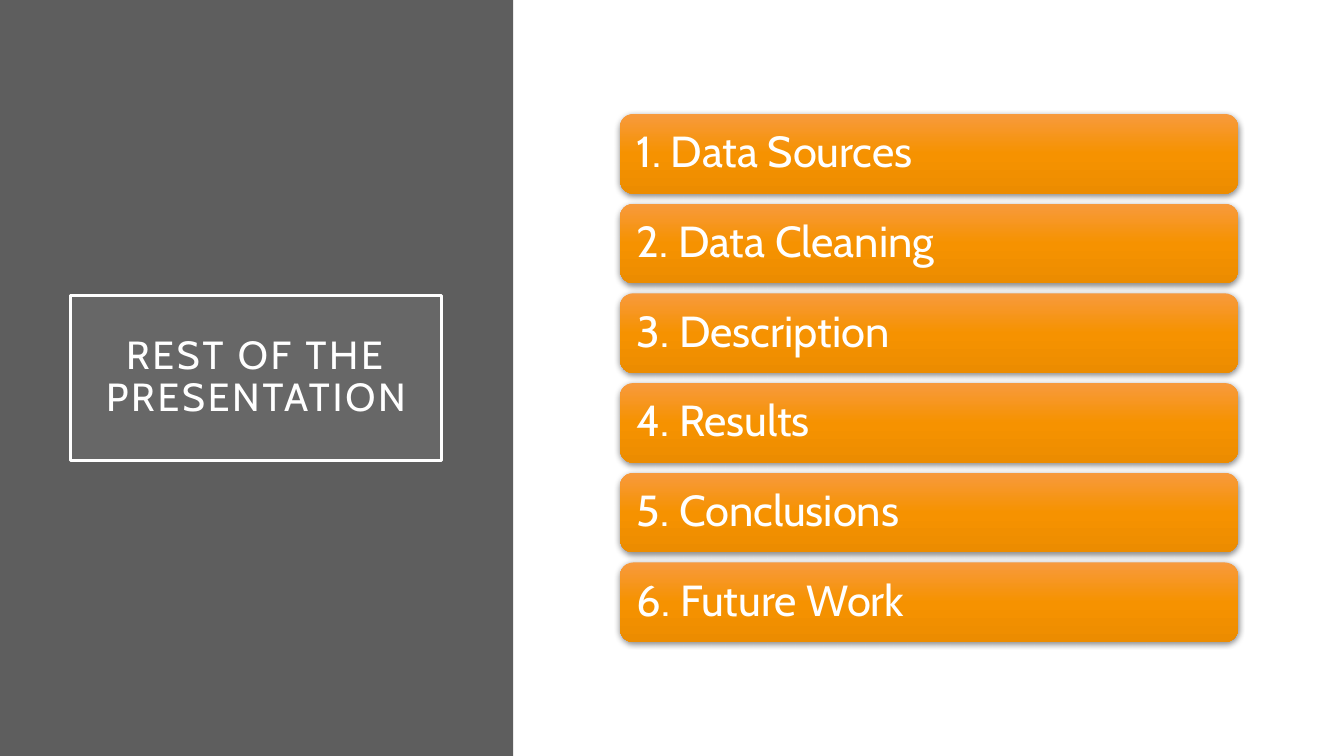
import copy
from dataclasses import dataclass

import pptx
import pptx.dml.color
import pptx.enum.shapes
import pptx.enum.text
import pptx.oxml.ns
import pptx.util
from lxml import etree
from pptx.util import Inches

qn = pptx.oxml.ns.qn
RGB = pptx.dml.color.RGBColor.from_string
SHAPES = pptx.enum.shapes.MSO_SHAPE
ALIGN = pptx.enum.text.PP_ALIGN


@dataclass(frozen=True)
class Theme:
    font: str = "Cabin"
    title_size: float = 28
    item_size: float = 31
    text: str = "FFFFFF"
    panel: str = "5E5E5E"
    title_fill: str = "9E9E9E"
    shadow: str = "000000"
    gradient: tuple = ((0, "F79A3D"), (0.5, "F69200"), (1, "EC8C00"))


@dataclass(frozen=True)
class Box:
    left: float
    top: float
    width: float
    height: float

    def lengths(self) -> tuple:
        return tuple(Inches(n) for n in (self.left, self.top, self.width, self.height))


@dataclass(frozen=True)
class AgendaItem:
    text: str
    box: Box


THEME = Theme()
PANEL = Box(0, 0, 5.09, 7.5)
TITLE = Box(0.7, 2.93, 3.68, 1.64)
FIRST_CARD = Box(6.15, 1.13, 6.13, 0.79)
CARD_PITCH = 0.89
TOPICS = ("Data Sources", "Data Cleaning", "Description",
          "Results", "Conclusions", "Future Work")
AGENDA = [
    AgendaItem(f"{index + 1}. {topic}",
               Box(FIRST_CARD.left, FIRST_CARD.top + index * CARD_PITCH,
                   FIRST_CARD.width, FIRST_CARD.height))
    for index, topic in enumerate(TOPICS)
]


def add_alpha(colour: etree._Element, percent: int) -> None:
    etree.SubElement(colour, qn("a:alpha"), val=str(percent * 1000))


def write_text(shape, text: str, size: float, align, inset: float) -> None:
    frame = shape.text_frame
    frame.text = text
    frame.word_wrap = True
    frame.auto_size = pptx.enum.text.MSO_AUTO_SIZE.NONE
    frame.vertical_anchor = pptx.enum.text.MSO_ANCHOR.MIDDLE
    frame.margin_left = frame.margin_right = Inches(inset)
    frame.margin_top = frame.margin_bottom = Inches(inset)
    para = frame.paragraphs[0]
    para.alignment = align
    para.line_spacing = 0.9
    font = para.runs[0].font
    font.name = THEME.font
    font.size = pptx.util.Pt(size)
    font.color.rgb = RGB(THEME.text)


def add_title(page) -> None:
    title = page.shapes.title
    title.left, title.top, title.width, title.height = TITLE.lengths()
    title.fill.solid()
    title.fill.fore_color.rgb = RGB(THEME.title_fill)
    add_alpha(title.element.spPr.find(".//" + qn("a:srgbClr")), 15)
    title.line.color.rgb = RGB(THEME.text)
    title.line.width = pptx.util.Pt(2.5)
    write_text(title, "REST OF THE PRESENTATION", THEME.title_size, ALIGN.CENTER, 0.2)
    span = title.text_frame.paragraphs[0].runs[0]
    span.font.element.set("spc", "200") if hasattr(span.font, "element") else \
        span._r.get_or_add_rPr().set("spc", "200")


def add_panel(page) -> None:
    """Add the side panel and place it behind the title."""
    panel = page.shapes.add_shape(SHAPES.RECTANGLE, *PANEL.lengths())
    panel.shadow.inherit = False
    panel.fill.solid()
    panel.fill.fore_color.rgb = RGB(THEME.panel)
    panel.line.fill.background()
    page.shapes.title.element.addprevious(panel.element)


def fill_gradient(shape) -> None:
    """Fill with the theme gradient, running from top to bottom."""
    shape.fill.gradient()
    shape.fill.gradient_angle = 270
    stops = shape.element.spPr.find(".//" + qn("a:gsLst"))
    stops.append(copy.deepcopy(stops[-1]))
    for stop, (position, colour) in zip(shape.fill.gradient_stops, THEME.gradient):
        stop.position = position
        stop.color.rgb = RGB(colour)


def add_soft_shadow(shape) -> None:
    shape.shadow.inherit = False
    effects = shape.element.spPr.find(qn("a:effectLst"))
    shadow = etree.SubElement(
        effects, qn("a:outerShdw"), blurRad=str(pptx.util.Pt(4.4)),
        dist=str(pptx.util.Pt(1.2)), dir="5400000", algn="ctr", rotWithShape="0")
    add_alpha(etree.SubElement(shadow, qn("a:srgbClr"), val=THEME.shadow), 45)


def add_card(page, item: AgendaItem) -> None:
    card = page.shapes.add_shape(SHAPES.ROUNDED_RECTANGLE, *item.box.lengths())
    fill_gradient(card)
    card.line.fill.background()
    add_soft_shadow(card)
    write_text(card, item.text, THEME.item_size, ALIGN.LEFT, 0.13)


def main() -> None:
    deck = pptx.Presentation()
    deck.slide_width, deck.slide_height = Inches(13.33), Inches(7.5)
    page = deck.slides.add_slide(deck.slide_layouts[5])
    add_panel(page)
    add_title(page)
    for item in AGENDA:
        add_card(page, item)
    deck.save("out.pptx")


if __name__ == "__main__":
    main()
